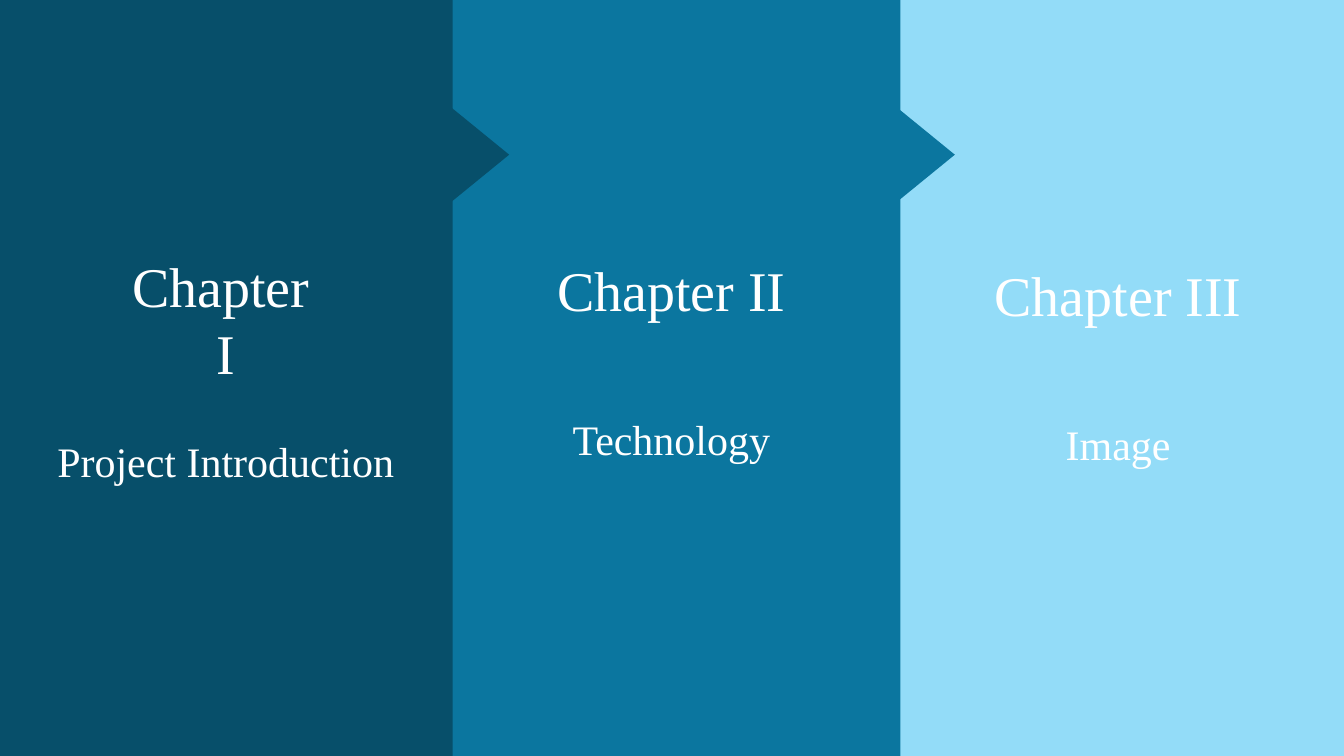
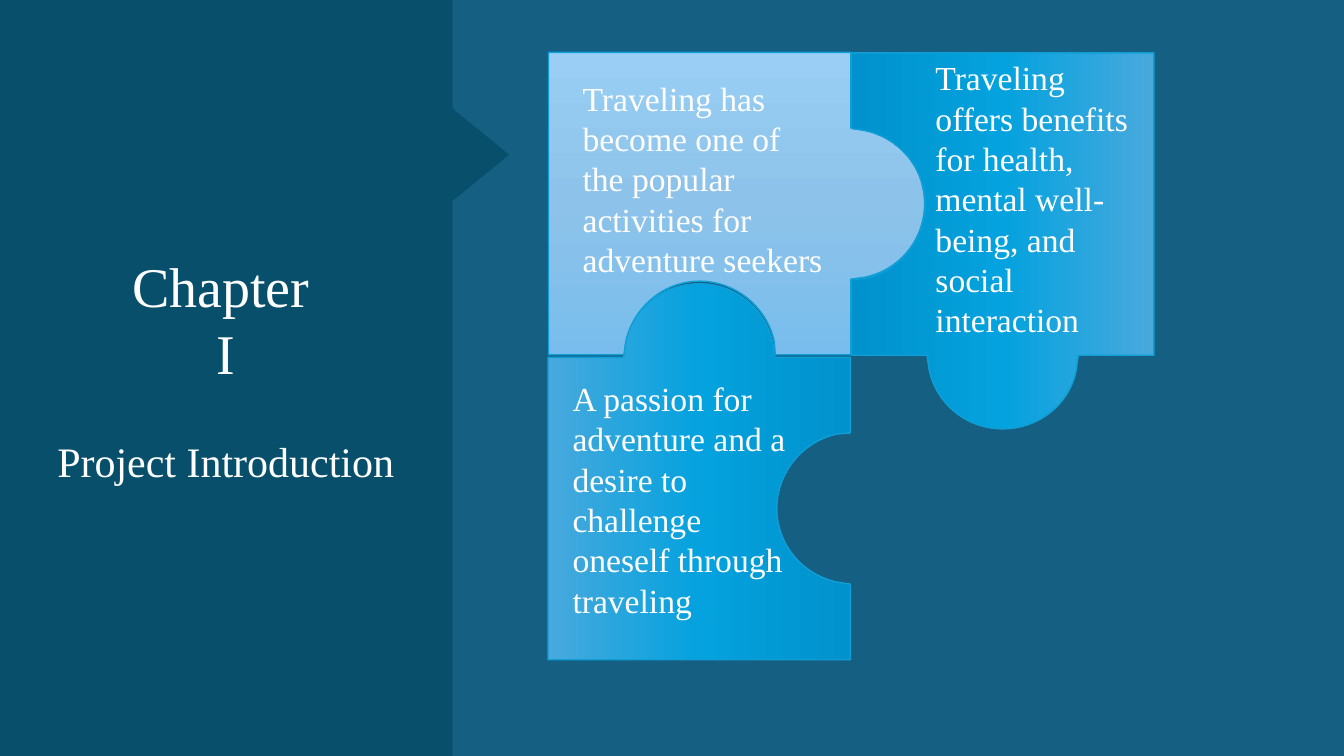
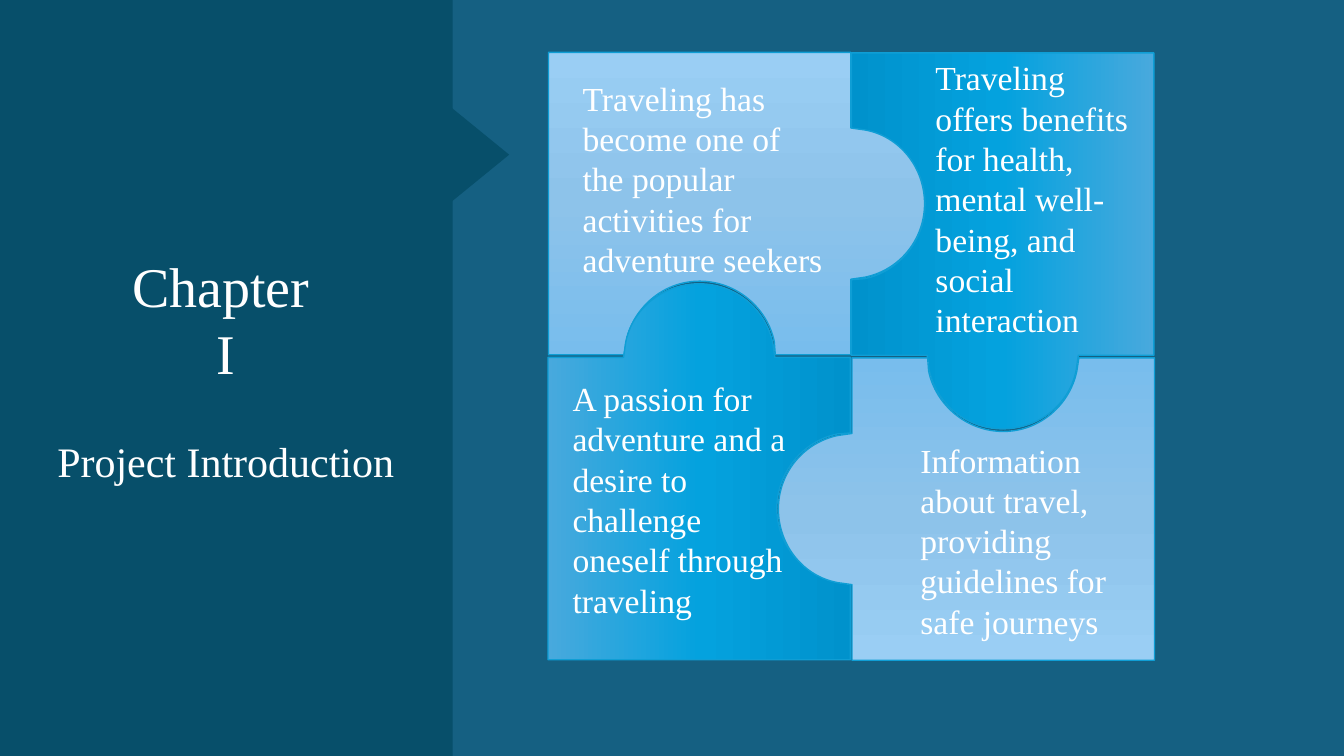
import copy
from dataclasses import dataclass
from typing import Optional

import pptx
import pptx.dml.color
import pptx.enum.shapes
import pptx.enum.text
import pptx.oxml
import pptx.oxml.ns
import pptx.util

Inches = pptx.util.Inches
Pt = pptx.util.Pt
qn = pptx.oxml.ns.qn

COLOURS = {
    "background": "156082",
    "dark": "074F6A",
    "medium": "0B769F",
    "light": "93DCF8",
    "outline": "0F9ED5",
    "text": "FFFFFF",
}
GRADIENTS = {
    "pale": ("9ACEF4", "8DC3EA", "78BDED"),
    "bright": ("48A9DD", "04A2DE", "0092CC"),
}
FRAME_FORMAT = {
    "word_wrap": True,
    "auto_size": pptx.enum.text.MSO_AUTO_SIZE.NONE,
    "vertical_anchor": pptx.enum.text.MSO_ANCHOR.TOP,
    "margin_left": Inches(0.1),
    "margin_right": Inches(0.1),
    "margin_top": Inches(0.05),
    "margin_bottom": Inches(0.05),
}
FONT_FORMAT = {"name": "Times New Roman", "bold": False}
LINE_HEIGHT = 1.2
HEADING_SIZE, TOPIC_SIZE, PIECE_SIZE = 40, 30, 24

# Puzzle piece: a square with a tab on the right and a notch at the bottom.
# One point is a straight side, three points are a Bezier curve.
PIECE_OUTLINE = (
    ((0, 0),),
    ((3, 0),),
    ((3, 0.75),),
    ((3.14, 0.77),),
    ((3.48, 0.83), (3.73, 1.14), (3.73, 1.5)),
    ((3.73, 1.86), (3.48, 2.16), (3.14, 2.23)),
    ((3, 2.25),),
    ((3, 3),),
    ((2.25, 3),),
    ((2.24, 2.87),),
    ((2.17, 2.53), (1.86, 2.27), (1.5, 2.27)),
    ((1.14, 2.27), (0.84, 2.53), (0.77, 2.87)),
    ((0.75, 3),),
    ((0, 3),),
)


@dataclass(frozen=True)
class Span:
    text: str
    size: int


@dataclass(frozen=True)
class Line:
    spans: tuple
    gap: float = 0


@dataclass(frozen=True)
class Area:
    left: float
    top: float
    width: float
    height: float

    def lengths(self) -> tuple:
        return tuple(map(Inches, (self.left, self.top, self.width, self.height)))


@dataclass(frozen=True)
class Panel:
    colour: str
    left: float
    width: float
    text_area: Area
    lines: tuple
    pointer_left: Optional[float] = None
    is_title: bool = False


@dataclass(frozen=True)
class Piece:
    left: float
    top: float
    rotation: int
    gradient: str
    text_area: Area
    text: str


def heading(text: str) -> Line:
    return Line((Span(text, HEADING_SIZE),))


def topic(text: str, gap_size: int) -> Line:
    return Line((Span(text, TOPIC_SIZE),), LINE_HEIGHT * gap_size)


# Content
CHAPTER_ONE = Panel("dark", 0, 4.49, Area(0.37, 2.44, 3.74, 2.96),
                    (Line((Span("Chapter", HEADING_SIZE), Span(" ", TOPIC_SIZE))),
                     heading("I"), topic("Project Introduction", 30)),
                    pointer_left=4.3, is_title=True)
CHAPTER_TWO = Panel("medium", 4.42, 4.51, Area(4.78, 2.49, 3.76, 2.86),
                    (heading("Chapter II"), topic("Technology", 54)),
                    pointer_left=8.72)
CHAPTER_THREE = Panel("light", 8.86, 4.47, Area(9.22, 2.54, 3.74, 2.86),
                      (heading("Chapter III"), topic("Image", 54)))

POPULAR = Piece(
    5.44, 0.52, 0, "pale", Area(5.68, 0.72, 2.59, 2.12),
    "Traveling has become one of the popular activities for adventure seekers")
BENEFITS = Piece(
    8.08, 0.89, 90, "bright", Area(9.18, 0.52, 2.16, 2.93),
    "Traveling offers benefits for health, mental well-being, "
    "and social interaction")
PASSION = Piece(
    5.07, 3.18, 270, "bright", Area(5.58, 3.7, 2.41, 2.52),
    "A passion for adventure and a desire to challenge oneself through traveling")
GUIDELINES = Piece(
    7.72, 3.55, 180, "pale", Area(9.03, 4.31, 2.35, 2.12),
    "Information about travel, providing guidelines for safe journeys")

# Parts of each page, from back to front
PAGES = (
    (CHAPTER_THREE, CHAPTER_TWO, CHAPTER_ONE),
    (CHAPTER_ONE, POPULAR, BENEFITS, PASSION),
    (BENEFITS, POPULAR, PASSION, CHAPTER_ONE, GUIDELINES),
)


def rgb(name: str) -> pptx.dml.color.RGBColor:
    return pptx.dml.color.RGBColor.from_string(COLOURS[name])


def apply_format(target, values: dict) -> None:
    for name, value in values.items():
        setattr(target, name, value)


def write_lines(box, lines: tuple, alignment) -> None:
    frame = box.text_frame
    apply_format(frame, FRAME_FORMAT)
    for index, line in enumerate(lines):
        para = frame.paragraphs[0] if index == 0 else frame.add_paragraph()
        apply_format(para, {
            "alignment": alignment,
            "line_spacing": Pt(LINE_HEIGHT * line.spans[0].size),
            "space_before": Pt(line.gap),
        })
        for part in line.spans:
            span = para.add_run()
            span.text = part.text
            apply_format(span.font, {**FONT_FORMAT, "size": Pt(part.size)})
            span.font.color.rgb = rgb("text")


def add_plain_shape(page, kind, area: Area, colour: str):
    shape = page.shapes.add_shape(kind, *area.lengths())
    shape.shadow.inherit = False
    shape.fill.solid()
    shape.fill.fore_color.rgb = rgb(colour)
    shape.line.fill.background()
    return shape


def add_panel(page, panel: Panel) -> None:
    kinds = pptx.enum.shapes.MSO_SHAPE
    add_plain_shape(page, kinds.RECTANGLE,
                    Area(panel.left, 0, panel.width, 7.5), panel.colour)
    if panel.is_title:
        box = page.shapes.title
        places = ("left", "top", "width", "height")
        apply_format(box, dict(zip(places, panel.text_area.lengths())))
        # Bring the title in front of its panel
        box.element.getparent().append(box.element)
    else:
        box = page.shapes.add_textbox(*panel.text_area.lengths())
    write_lines(box, panel.lines, pptx.enum.text.PP_ALIGN.CENTER)
    if panel.pointer_left is not None:
        pointer = add_plain_shape(page, kinds.ISOSCELES_TRIANGLE,
                                  Area(panel.pointer_left, 1.25, 0.93, 0.57),
                                  panel.colour)
        pointer.rotation = 90


def bend_curves(shape) -> None:
    """Join the three straight sides of each curve into one Bezier segment."""
    sides = iter(list(shape.element.iter(qn("a:lnTo"))))
    for segment in PIECE_OUTLINE[1:]:
        parts = [next(sides) for _ in segment]
        if len(parts) == 3:
            curve = pptx.oxml.parse_xml(
                f"<a:cubicBezTo {pptx.oxml.ns.nsdecls('a')}/>")
            parts[0].addprevious(curve)
            for part in parts:
                curve.append(part[0])
                part.getparent().remove(part)


def fill_gradient(shape, stops: tuple) -> None:
    shape.fill.gradient()
    shape.fill.gradient_angle = 270
    stop_list = next(shape.element.iter(qn("a:gsLst")))
    stop_list.append(copy.deepcopy(stop_list[-1]))
    for index, stop in enumerate(shape.fill.gradient_stops):
        stop.position = index / (len(stops) - 1)
        stop.color.rgb = pptx.dml.color.RGBColor.from_string(stops[index])


def add_piece(page, piece: Piece) -> None:
    points = [(Inches(piece.left + x), Inches(piece.top + y))
              for segment in PIECE_OUTLINE for x, y in segment]
    builder = page.shapes.build_freeform(*points[0])
    builder.add_line_segments(points[1:], close=True)
    shape = builder.convert_to_shape()
    bend_curves(shape)
    shape.shadow.inherit = False
    shape.rotation = piece.rotation
    fill_gradient(shape, GRADIENTS[piece.gradient])
    shape.line.color.rgb = rgb("outline")
    shape.line.width = Pt(1)
    box = page.shapes.add_textbox(*piece.text_area.lengths())
    write_lines(box, (Line((Span(piece.text, PIECE_SIZE),)),),
                pptx.enum.text.PP_ALIGN.LEFT)


def add_page(deck, parts: tuple) -> None:
    page = deck.slides.add_slide(deck.slide_layouts.get_by_name("Title Only"))
    for part in parts:
        if isinstance(part, Panel):
            add_panel(page, part)
        else:
            add_piece(page, part)


def main() -> None:
    deck = pptx.Presentation()
    deck.slide_width, deck.slide_height = Inches(13.33), Inches(7.5)
    background = deck.slide_master.background.fill
    background.solid()
    background.fore_color.rgb = rgb("background")
    for parts in PAGES:
        add_page(deck, parts)
    deck.save("out.pptx")


if __name__ == "__main__":
    main()
